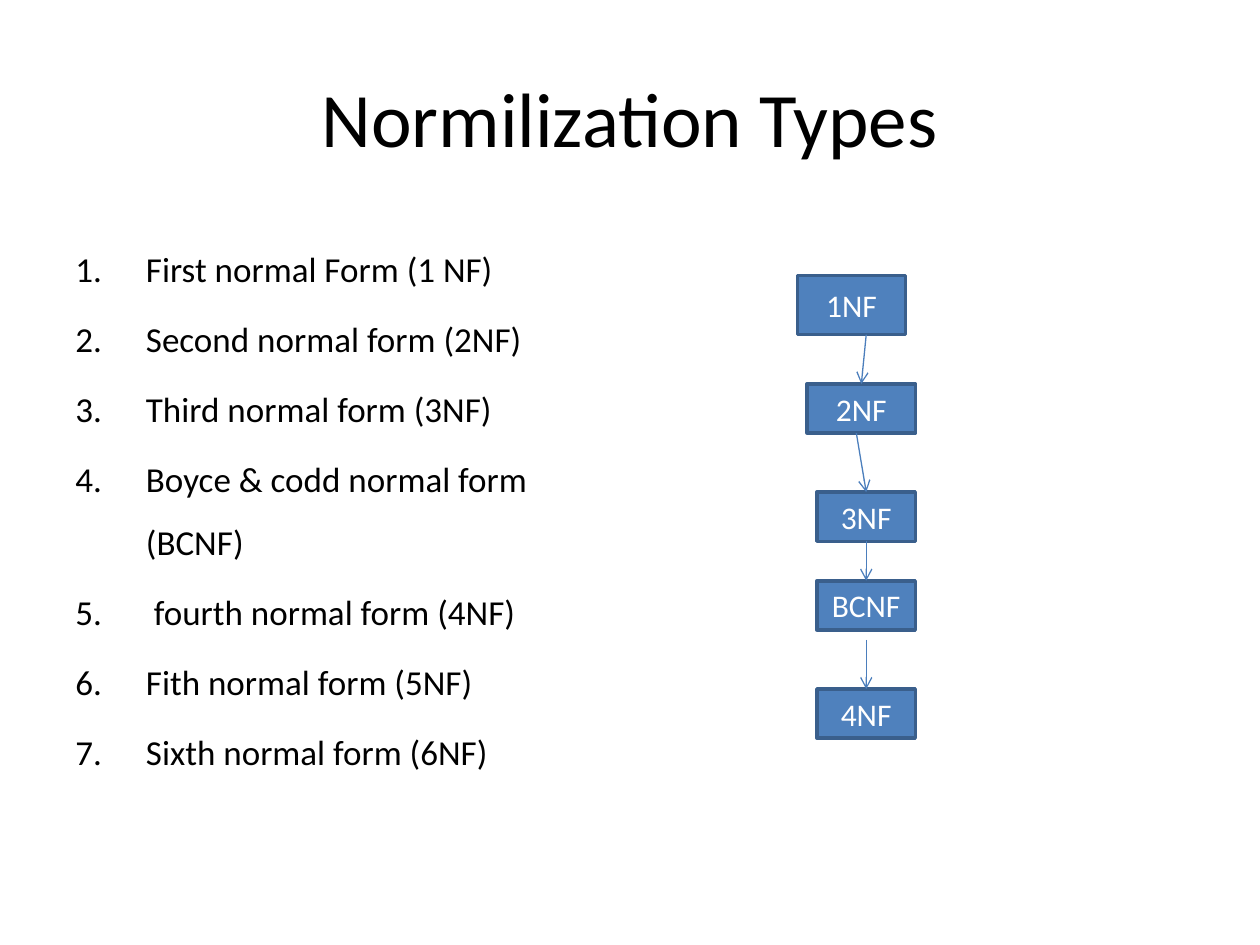
from lxml import etree
from pptx import Presentation
from pptx import util as u
from pptx.dml.color import RGBColor
from pptx.enum import shapes, text
from pptx.oxml.ns import qn

THEME = {
    "font": "Calibri",
    "ink": RGBColor.from_string("000000"),
    "box_fill": RGBColor.from_string("4F81BD"),
    "box_line": RGBColor.from_string("3A5F8C"),
    "box_text": RGBColor.from_string("FFFFFF"),
    "arrow": RGBColor.from_string("4B7EBC"),
    "title_size": u.Pt(44),
    "list_size": u.Pt(20),
    "box_size": u.Pt(18),
}

presentation = Presentation()
presentation.slide_width = u.Inches(10)
presentation.slide_height = u.Inches(7.5)
slide = presentation.slides.add_slide(presentation.slide_layouts[6])
width, height = presentation.slide_width, presentation.slide_height
cell = width // 128


def write(paragraph, words, size, color, **formats):
    run = paragraph.add_run()
    run.text = words
    run.font.color.rgb = color
    for name, value in {"name": THEME["font"], "size": size}.items():
        setattr(run.font, name, value)
    for name, value in formats.items():
        setattr(paragraph, name, value)


title = slide.shapes.add_textbox(
    int(width * 0.05), int(height * 0.04), int(width * 0.9), height // 6)
title.text_frame.word_wrap = True
title.text_frame.vertical_anchor = text.MSO_ANCHOR.MIDDLE
write(title.text_frame.paragraphs[0], "Normilization Types", THEME["title_size"],
      THEME["ink"], alignment=text.PP_ALIGN.CENTER)

normal_forms = [
    "First normal Form (1 NF)",
    "Second normal form (2NF)",
    "Third normal form (3NF)",
    "Boyce & codd normal form (BCNF)",
    " fourth normal form (4NF)",
    "Fith normal form (5NF)",
    "Sixth normal form (6NF)",
]
form_list = slide.shapes.add_textbox(
    int(width * 0.05), int(height * 7 / 30), int(width * 0.442), int(height * 0.66))
form_list.text_frame.word_wrap = True
indent = u.Inches(0.56)
for number, form in enumerate(normal_forms):
    frame = form_list.text_frame
    paragraph = frame.add_paragraph() if number else frame.paragraphs[0]
    write(paragraph, form, THEME["list_size"], THEME["ink"],
          line_spacing=1.5, space_before=THEME["list_size"] // 5)
    properties = paragraph._p.get_or_add_pPr()
    properties.set("marL", str(indent))
    properties.set("indent", str(-indent))
    etree.SubElement(properties, qn("a:buAutoNum"), type="arabicPeriod")

boxes = {}
for label, column, row, columns, rows in [
    ("1NF", 81, 28, 11, 6),
    ("2NF", 82, 39, 11, 5),
    ("3NF", 83, 50, 10, 5),
    ("BCNF", 83, 59, 10, 5),
    ("4NF", 83, 70, 10, 5),
]:
    shape = slide.shapes.add_shape(
        shapes.MSO_SHAPE.RECTANGLE,
        column * cell, row * cell, columns * cell, rows * cell)
    shape.shadow.inherit = False
    shape.fill.solid()
    shape.fill.fore_color.rgb = THEME["box_fill"]
    shape.line.color.rgb = THEME["box_line"]
    shape.line.width = u.Pt(2)
    shape.text_frame.vertical_anchor = text.MSO_ANCHOR.MIDDLE
    write(shape.text_frame.paragraphs[0], label, THEME["box_size"],
          THEME["box_text"], alignment=text.PP_ALIGN.CENTER)
    boxes[label] = shape

for column, row, source, target in [
    (88, 34, None, "2NF"),
    (87, 44, None, "3NF"),
    (88, 55, "3NF", "BCNF"),
    (88, 65, None, "4NF"),
]:
    start = column * cell, row * cell
    connector = slide.shapes.add_connector(
        shapes.MSO_CONNECTOR.STRAIGHT, *start, *start)
    if source:
        connector.begin_connect(boxes[source], 2)
    connector.end_connect(boxes[target], 0)
    connector.line.color.rgb = THEME["arrow"]
    connector.line.width = u.Pt(0.75)
    properties = connector._element.spPr
    etree.SubElement(properties.find(qn("a:ln")), qn("a:tailEnd"), type="arrow")
    etree.SubElement(properties, qn("a:effectLst"))

presentation.save("out.pptx")
